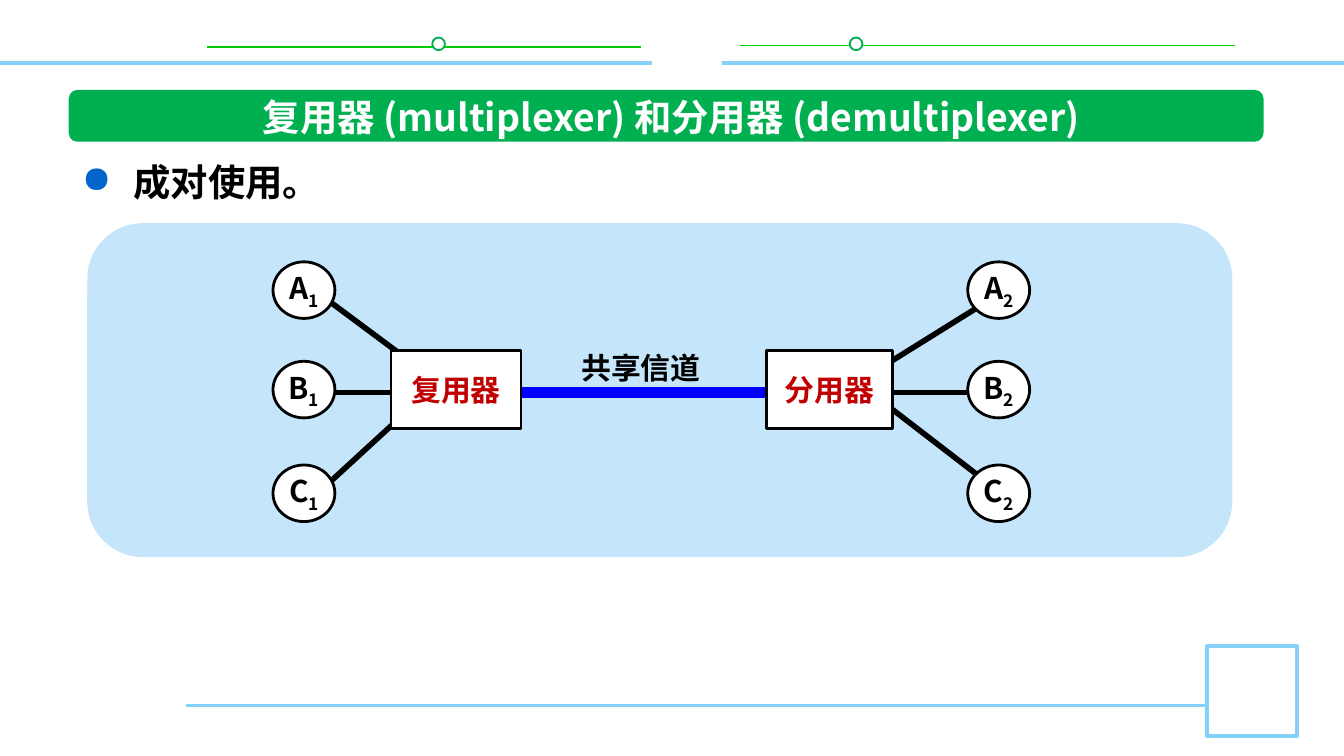
from dataclasses import dataclass

from lxml.etree import SubElement
from pptx import Presentation
from pptx.dml.color import RGBColor
from pptx.enum.shapes import MSO_CONNECTOR, MSO_SHAPE
from pptx.enum.text import MSO_ANCHOR, PP_ALIGN
from pptx.oxml.ns import qn
from pptx.util import Cm, Pt

FONT = "Noto Sans CJK SC"
COLORS = {
    "white": "FFFFFF", "black": "000000", "red": "C00000", "blue": "0000FF",
    "green": "00B050", "bright green": "00CC00", "sky": "85D1F7",
    "pale blue": "C5E5FB", "bullet": "0066CC",
}


@dataclass
class Line:
    """A straight line: end points in centimetres, width in points."""
    x1: float
    y1: float
    x2: float
    y2: float
    color: str
    width: float


@dataclass
class Shape:
    """A preset shape: place in centimetres, outline width in points."""
    kind: MSO_SHAPE
    left: float
    top: float
    width: float
    height: float
    fill: str = "white"
    outline: str | None = None
    outline_width: float = 1.5
    corner: float | None = None


def rgb(name: str) -> RGBColor:
    return RGBColor.from_string(COLORS[name])


def draw_line(page, line: Line) -> None:
    connector = page.shapes.add_connector(
        MSO_CONNECTOR.STRAIGHT, Cm(line.x1), Cm(line.y1), Cm(line.x2), Cm(line.y2))
    connector.line.color.rgb = rgb(line.color)
    connector.line.width = Pt(line.width)
    SubElement(connector._element.spPr, qn("a:effectLst"))


def draw_shape(page, item: Shape):
    shape = page.shapes.add_shape(
        item.kind, Cm(item.left), Cm(item.top), Cm(item.width), Cm(item.height))
    shape.shadow.inherit = False
    shape.fill.solid()
    shape.fill.fore_color.rgb = rgb(item.fill)
    if item.outline:
        shape.line.color.rgb = rgb(item.outline)
        shape.line.width = Pt(item.outline_width)
    else:
        shape.line.fill.background()
    if item.corner is not None:
        shape.adjustments[0] = item.corner
    return shape


def write(box, text: str, size: float, color: str, subscript: str = "",
          align=PP_ALIGN.CENTER, anchor=MSO_ANCHOR.MIDDLE, wrap: bool = False):
    frame = box.text_frame
    frame.word_wrap = wrap
    frame.vertical_anchor = anchor
    paragraph = frame.paragraphs[0]
    paragraph.alignment = align
    font = paragraph.font
    font.name, font.size, font.bold = FONT, Pt(size), True
    font.color.rgb = rgb(color)
    SubElement(font._element, qn("a:ea"), typeface=FONT)
    paragraph.add_run().text = text
    if subscript:
        span = paragraph.add_run()
        span.text = subscript
        span.font._element.set("baseline", "-25000")
    return paragraph


def add_text_box(page, left: float, top: float, width: float, height: float):
    return page.shapes.add_textbox(Cm(left), Cm(top), Cm(width), Cm(height))


def add_bullet(paragraph, indent: float) -> None:
    """Give the paragraph a round bullet and a hanging indent in centimetres."""
    properties = paragraph._p.get_or_add_pPr()
    properties.set("marL", str(Cm(indent)))
    properties.set("indent", str(-Cm(indent)))
    color = properties.makeelement(qn("a:buClr"), {})
    SubElement(color, qn("a:srgbClr"), val=COLORS["bullet"])
    bullet = properties.makeelement(qn("a:buChar"), {"char": "●"})
    defaults = properties.find(qn("a:defRPr"))
    defaults.addprevious(color)
    defaults.addprevious(bullet)


def draw_frame(page) -> None:
    """Draw the decorative lines, dots and corner square."""
    for line_start, line_end, y, dot_left in ((3.91, 12.12, 0.89, 8.17),
                                              (13.99, 23.34, 0.86, 16.06)):
        draw_line(page, Line(line_start, y, line_end, y, "bright green", 1))
        draw_shape(page, Shape(MSO_SHAPE.OVAL, dot_left, 0.71, 0.24, 0.24,
                               outline="green", outline_width=1))
    draw_line(page, Line(3.52, 13.34, 22.81, 13.34, "sky", 1.5))
    draw_shape(page, Shape(MSO_SHAPE.RECTANGLE, 22.81, 12.21, 1.7, 1.7,
                           outline="sky", outline_width=2))
    draw_line(page, Line(0, 1.19, 25.4, 1.19, "sky", 2))
    draw_shape(page, Shape(MSO_SHAPE.RECTANGLE, 12.32, 0.36, 1.32, 1.3))


def draw_heading(page) -> None:
    draw_shape(page, Shape(MSO_SHAPE.ROUNDED_RECTANGLE, 1.3, 1.7, 22.58, 0.98,
                           fill="green", corner=0.167))
    draw_shape(page, Shape(MSO_SHAPE.ROUNDED_RECTANGLE, 1.65, 4.22, 21.64, 6.31,
                           fill="pale blue"))
    body = write(add_text_box(page, 1.3, 2.67, 22.58, 1.5), "成对使用。", 20, "black",
                 align=PP_ALIGN.LEFT, anchor=MSO_ANCHOR.TOP, wrap=True)
    body.line_spacing = Pt(30)
    add_bullet(body, 0.97)
    write(add_text_box(page, 3.48, 1.7, 18.42, 0.99),
          "复用器 (multiplexer) 和分用器 (demultiplexer)", 20, "white", wrap=True)


def draw_diagram(page) -> None:
    channel_y = 7.42
    draw_line(page, Line(6.15, channel_y, 19.1, channel_y, "black", 3))
    write(add_text_box(page, 10.74, 6.48, 2.79, 0.94), "共享信道", 16, "black",
          align=PP_ALIGN.LEFT, anchor=MSO_ANCHOR.TOP)
    draw_line(page, Line(9.22, channel_y, 15.47, channel_y, "blue", 6))

    for node_x, device_x in ((6.15, 7.75), (18.75, 16.84)):
        for node_y, device_y in ((5.64, 6.83), (9.19, 7.72)):
            draw_line(page, Line(node_x, node_y, device_x, device_y, "black", 3))

    for letter, top in (("A", 4.95), ("B", 6.83), ("C", 8.79)):
        for side, left in (("1", 5.16), ("2", 18.29)):
            node = draw_shape(page, Shape(MSO_SHAPE.OVAL, left, top, 1.17, 1.07,
                                          outline="black"))
            write(node, letter, 16, "black", subscript=side)

    for name, left, width in (("复用器", 7.39, 2.46), ("分用器", 14.48, 2.39)):
        device = draw_shape(page, Shape(MSO_SHAPE.RECTANGLE, left, 6.63, width, 1.47,
                                        outline="black"))
        write(device, name, 16, "red")


def main() -> None:
    deck = Presentation()
    deck.slide_width, deck.slide_height = Cm(25.4), Cm(14.29)
    page = deck.slides.add_slide(deck.slide_layouts[6])
    draw_frame(page)
    draw_heading(page)
    draw_diagram(page)
    deck.save("out.pptx")


if __name__ == "__main__":
    main()
